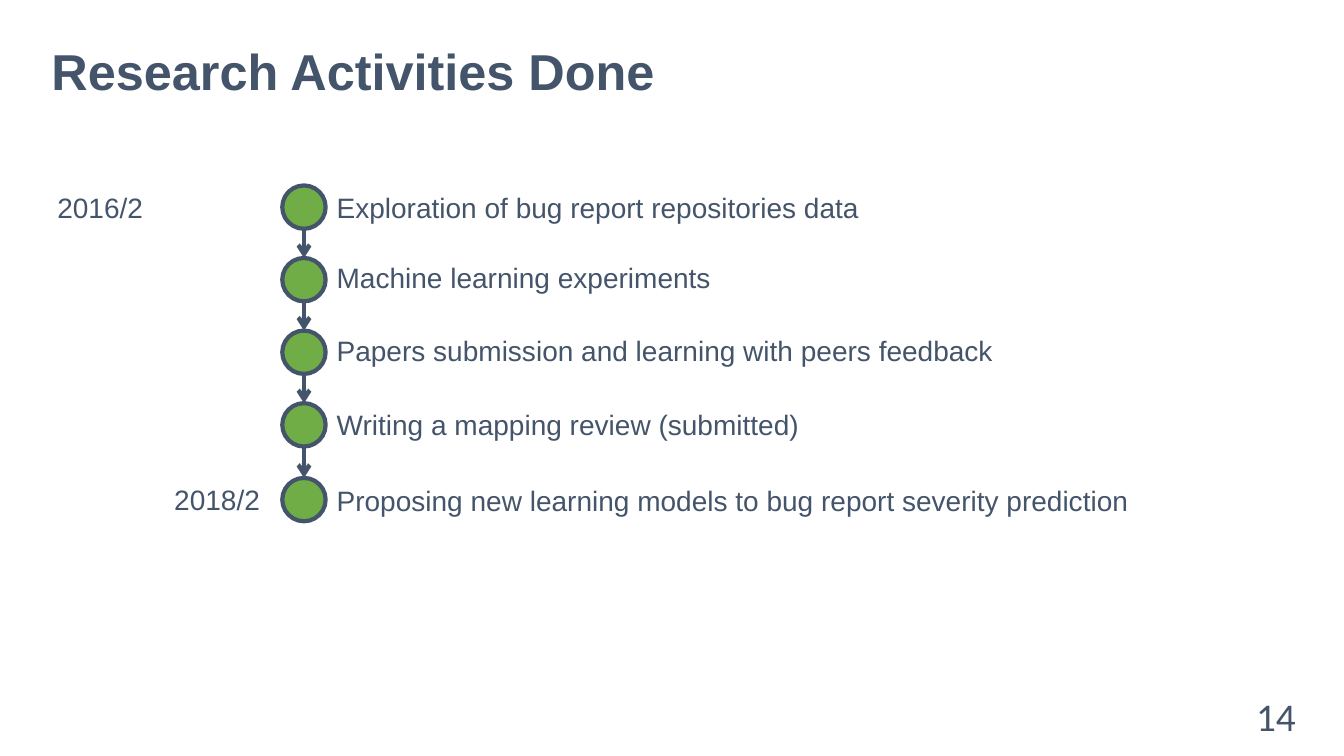
"""Build the research activities timeline slide."""
from dataclasses import dataclass
from itertools import pairwise

from lxml import etree
from pptx import Presentation
from pptx import util as u
from pptx.dml.color import RGBColor
from pptx.enum import shapes, text
from pptx.oxml.ns import qn


@dataclass(frozen=True)
class Theme:
    ink: RGBColor = RGBColor(0x44, 0x54, 0x6A)
    green: RGBColor = RGBColor(0x70, 0xAD, 0x47)
    paper: RGBColor = RGBColor(0xFF, 0xFF, 0xFF)
    font: str = "Arial"
    number_font: str = "Calibri"
    title: int = 36
    body: int = 20
    number: int = 28
    stroke: int = 3


T = Theme()
WIDTH, HEIGHT = 13.33, 7.5
TOP, PITCH, LAST_ROW = 1.84, 0.72, 4.03
DOT_LEFT, DOT = 2.8, 0.43
LABEL_LEFT, LABEL_HEIGHT = 3.24, 0.44

STEPS = [
    (0, 0, 5.42, "Exploration of bug report repositories data"),
    (1, -0.02, 3.94, "Machine learning experiments"),
    (2, -0.02, 6.84, "Papers submission and learning with peers feedback"),
    (3, -0.01, 4.9, "Writing a mapping review (submitted)"),
    (LAST_ROW, 0.01, 8.24, "Proposing new learning models to bug report severity prediction"),
]
DATES = [(0.47, 0, "2016/2"), (1.63, LAST_ROW, "2018/2")]


def row_top(row):
    return TOP + row * PITCH


def style(p, size, name=T.font, bold=False):
    p.font.size, p.font.name, p.font.bold = u.Pt(size), name, bold
    p.font.color.rgb = T.ink


def add_title(s, wording):
    sp = s.shapes.title
    sp.left, sp.top, sp.width, sp.height = map(u.Inches, (0.41, 0.4, 12.01, 0.67))
    tf = sp.text_frame
    tf.text = wording
    tf.vertical_anchor = text.MSO_ANCHOR.MIDDLE
    tf.auto_size = text.MSO_AUTO_SIZE.NONE
    p = tf.paragraphs[0]
    p.alignment, p.line_spacing = text.PP_ALIGN.LEFT, 0.9
    style(p, T.title, bold=True)


def add_label(s, left, top, width, wording):
    sp = s.shapes.add_textbox(*map(u.Inches, (left, top, width, LABEL_HEIGHT)))
    tf = sp.text_frame
    tf.text = wording
    tf.word_wrap = False
    tf.auto_size = text.MSO_AUTO_SIZE.SHAPE_TO_FIT_TEXT
    style(tf.paragraphs[0], T.body)


def add_dot(s, top):
    sp = s.shapes.add_shape(shapes.MSO_SHAPE.OVAL, *map(u.Inches, (DOT_LEFT, top, DOT, DOT)))
    sp.shadow.inherit = False
    sp.fill.solid()
    sp.fill.fore_color.rgb = T.green
    sp.line.color.rgb = T.ink
    sp.line.width = u.Pt(T.stroke)
    return sp


def add_arrow(s, upper, lower):
    x = upper.left + upper.width // 2
    c = s.shapes.add_connector(
        shapes.MSO_CONNECTOR.STRAIGHT, x, upper.top + upper.height, x, lower.top)
    c.line.color.rgb = T.ink
    c.line.width = u.Pt(T.stroke)
    sp_pr = c._element.spPr
    etree.SubElement(sp_pr.find(qn("a:ln")), qn("a:tailEnd"), type="arrow")
    etree.SubElement(sp_pr, qn("a:effectLst"))


def add_page_number(s, wording):
    sp = s.shapes.add_textbox(*map(u.Inches, (11.91, 6.9, 1.04, 0.4)))
    tf = sp.text_frame
    tf.text = wording
    tf.word_wrap = True
    tf.vertical_anchor = text.MSO_ANCHOR.MIDDLE
    p = tf.paragraphs[0]
    p.alignment = text.PP_ALIGN.RIGHT
    style(p, T.number, T.number_font)


def main():
    prs = Presentation()
    prs.slide_width, prs.slide_height = u.Inches(WIDTH), u.Inches(HEIGHT)
    s = prs.slides.add_slide(prs.slide_layouts.get_by_name("Title Only"))
    s.background.fill.solid()
    s.background.fill.fore_color.rgb = T.paper
    add_title(s, "Research Activities Done")
    dots = []
    for row, shift, width, wording in STEPS:
        dots.append(add_dot(s, row_top(row)))
        add_label(s, LABEL_LEFT, row_top(row) + shift, width, wording)
    for upper, lower in pairwise(dots):
        add_arrow(s, upper, lower)
    for left, row, date in DATES:
        add_label(s, left, row_top(row), 1.07, date)
    add_page_number(s, "14")
    prs.save("out.pptx")


if __name__ == "__main__":
    main()
